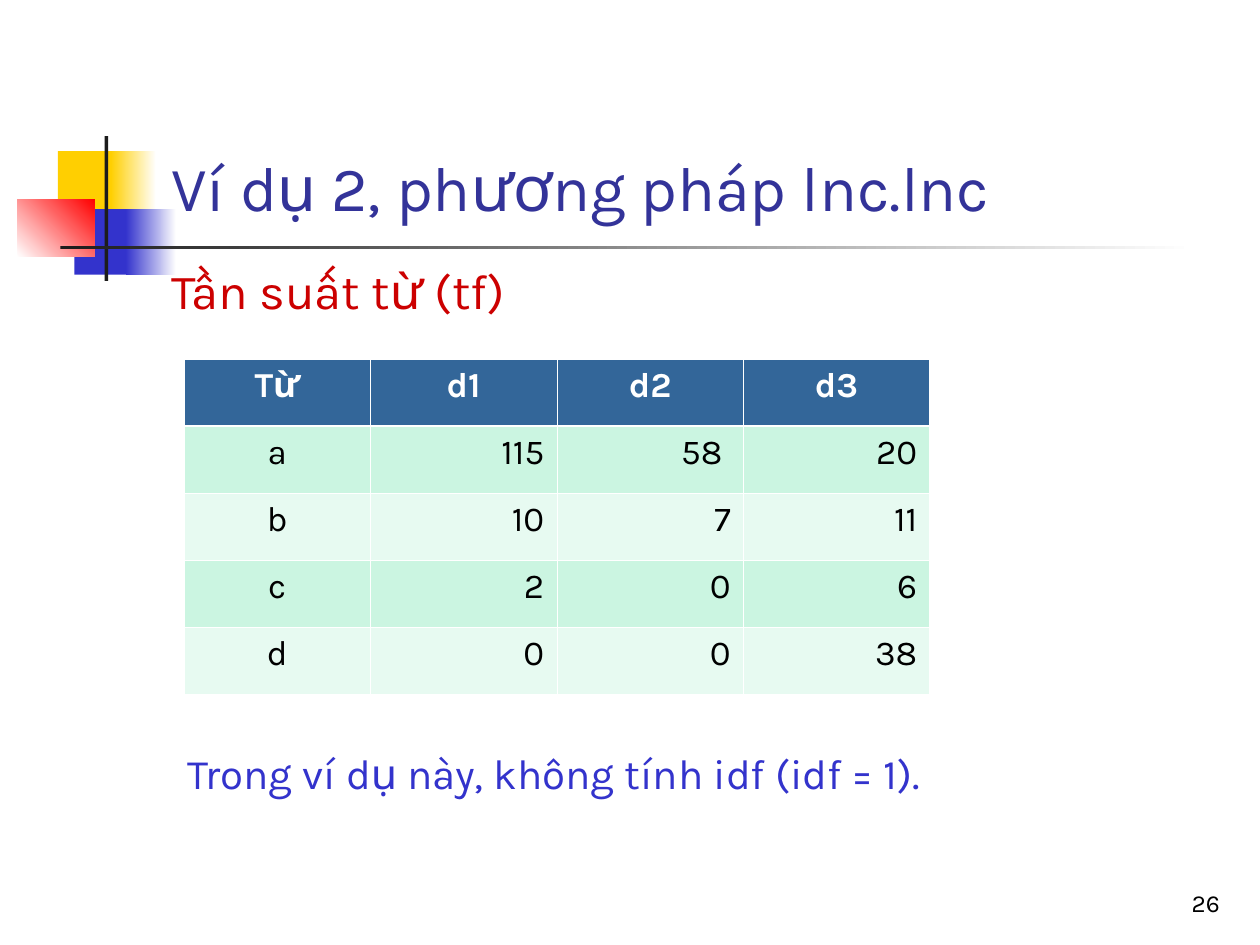
from dataclasses import dataclass

from lxml import etree
from pptx import Presentation
from pptx.dml.color import RGBColor
from pptx.enum import shapes, text
from pptx.oxml.ns import qn
from pptx.util import Inches, Pt


@dataclass(frozen=True)
class Theme:
    font: str = "Karla"
    title: str = "333399"
    red: str = "CC0000"
    blue: str = "3333CC"
    gold: str = "FFCF01"
    glow: str = "FF0000"
    dark: str = "1C1C1C"
    black: str = "000000"
    white: str = "FFFFFF"
    head: str = "336699"
    bands: tuple = ("CBF5E1", "E7FAF1")
    title_size: int = 36
    lead_size: int = 28
    note_size: int = 24
    cell_size: int = 20
    page_size: int = 14


T = Theme()
LEFT, MID, RIGHT = text.PP_ALIGN.LEFT, text.PP_ALIGN.CENTER, text.PP_ALIGN.RIGHT
TOP, BASE = text.MSO_ANCHOR.TOP, text.MSO_ANCHOR.BOTTOM
ROWS = [
    ["Từ", "d1", "d2", "d3"],
    ["a", "115", "58 ", "20"],
    ["b", "10", "7", "11"],
    ["c", "2", "0", "6"],
    ["d", "0", "0", "38"],
]


def write(frame, words, size, color, align=LEFT, bold=False, before=0, line=None):
    para = frame.paragraphs[0]
    para.alignment = align
    para.space_before = Pt(before)
    if line:
        para.line_spacing = line
    run = para.add_run()
    run.text = words
    font = run.font
    font.name, font.size, font.bold = T.font, Pt(size), bold
    font.color.rgb = RGBColor.from_string(color)


def place(shape, box):
    shape.left, shape.top, shape.width, shape.height = map(Inches, box)


def add_label(slide, box, words, size, color, anchor=TOP, grow=False, **style):
    label = slide.shapes.add_textbox(*map(Inches, box))
    frame = label.text_frame
    frame.word_wrap = True
    frame.vertical_anchor = anchor
    if grow:
        frame.auto_size = text.MSO_AUTO_SIZE.SHAPE_TO_FIT_TEXT
    write(frame, words, size, color, **style)


def add_block(slide, box, start, end=None, angle=0):
    """Add a plain rectangle, or one that fades from start to end."""
    block = slide.shapes.add_shape(shapes.MSO_SHAPE.RECTANGLE, *map(Inches, box))
    block.shadow.inherit = False
    block.line.fill.background()
    if end is None:
        block.fill.solid()
        block.fill.fore_color.rgb = RGBColor.from_string(start)
        return
    block.fill.gradient()
    block.fill.gradient_angle = angle
    for stop, color in zip(block.fill.gradient_stops, (start, end)):
        stop.color.rgb = RGBColor.from_string(color)


def add_motif(slide, box):
    """Add the overlapping squares and the crossed rules."""
    x, y, wide, high = box
    add_block(slide, (x + 0.32, y + 0.12, 0.48, 0.52), T.gold)
    add_block(slide, (x + 0.74, y + 0.12, 0.36, 0.52), T.gold, T.white)
    add_block(slide, (x + 0.45, y + 0.58, 0.46, 0.52), T.blue)
    add_block(slide, (x + 0.86, y + 0.58, 0.4, 0.52), T.blue, T.white)
    add_block(slide, (x, y + 0.5, 0.61, 0.46), T.white, T.glow, angle=45)
    add_block(slide, (x + 0.69, y, 0.03, high), T.dark)
    add_block(slide, (x + 0.34, y + 0.87, wide - 0.34, 0.03), T.dark, T.white)


def add_title(slide, box, words):
    title = slide.shapes.title
    place(title, box)
    slide.shapes.element.append(title.element)  # in front of the motif
    frame = title.text_frame
    frame.word_wrap = True
    frame.auto_size = text.MSO_AUTO_SIZE.NONE
    frame.vertical_anchor = BASE
    write(frame, words, T.title_size, T.title)


def set_edges(cell, **widths):
    """Draw white borders, with widths in points by side: L, R, T, B."""
    props = cell._tc.get_or_add_tcPr()
    for spot, (side, width) in enumerate(widths.items()):
        edge = etree.Element(qn(f"a:ln{side}"), w=str(Pt(width)))
        fill = etree.SubElement(edge, qn("a:solidFill"))
        etree.SubElement(fill, qn("a:srgbClr"), val=T.white)
        props.insert(spot, edge)


def add_grid(slide, box, rows):
    wide, high = box[2:]
    count = len(rows[0])
    grid = slide.shapes.add_table(len(rows), count, *map(Inches, box)).table
    for col in grid.columns:
        col.width = Inches(wide / count)
    for r, row in enumerate(rows):
        grid.rows[r].height = Inches(high / len(rows))
        head = r == 0
        for c, words in enumerate(row):
            cell = grid.cell(r, c)
            cell.fill.solid()
            fill = T.head if head else T.bands[(r - 1) % 2]
            cell.fill.fore_color.rgb = RGBColor.from_string(fill)
            set_edges(cell, L=0.45, R=0.45,
                      T=1.47 if r == 1 else 0.45, B=1.47 if head else 0.45)
            write(cell.text_frame, words, T.cell_size,
                  T.white if head else T.black, bold=head, line=0.98,
                  align=MID if head or c == 0 else RIGHT)


def main():
    deck = Presentation()
    deck.slide_width, deck.slide_height = Inches(10), Inches(7.5)
    slide = deck.slides.add_slide(deck.slide_layouts[5])
    add_motif(slide, (0.14, 1.08, 9.34, 1.15))
    add_title(slide, (1.26, 0.23, 8.52, 1.6), "Ví dụ 2, phương pháp lnc.lnc")
    add_grid(slide, (1.46, 2.85, 5.92, 2.66), ROWS)
    add_label(slide, (1.26, 2.02, 4.14, 0.57), "Tần suất từ (tf)",
              T.lead_size, T.red, grow=True, before=14)
    add_label(slide, (1.39, 5.88, 8.27, 0.5),
              "Trong ví dụ này, không tính idf (idf = 1).",
              T.note_size, T.blue, grow=True, before=12)
    add_label(slide, (7.7, 6.83, 2.08, 0.5), "26", T.page_size, T.black,
              anchor=BASE, align=RIGHT)
    deck.save("out.pptx")


if __name__ == "__main__":
    main()
